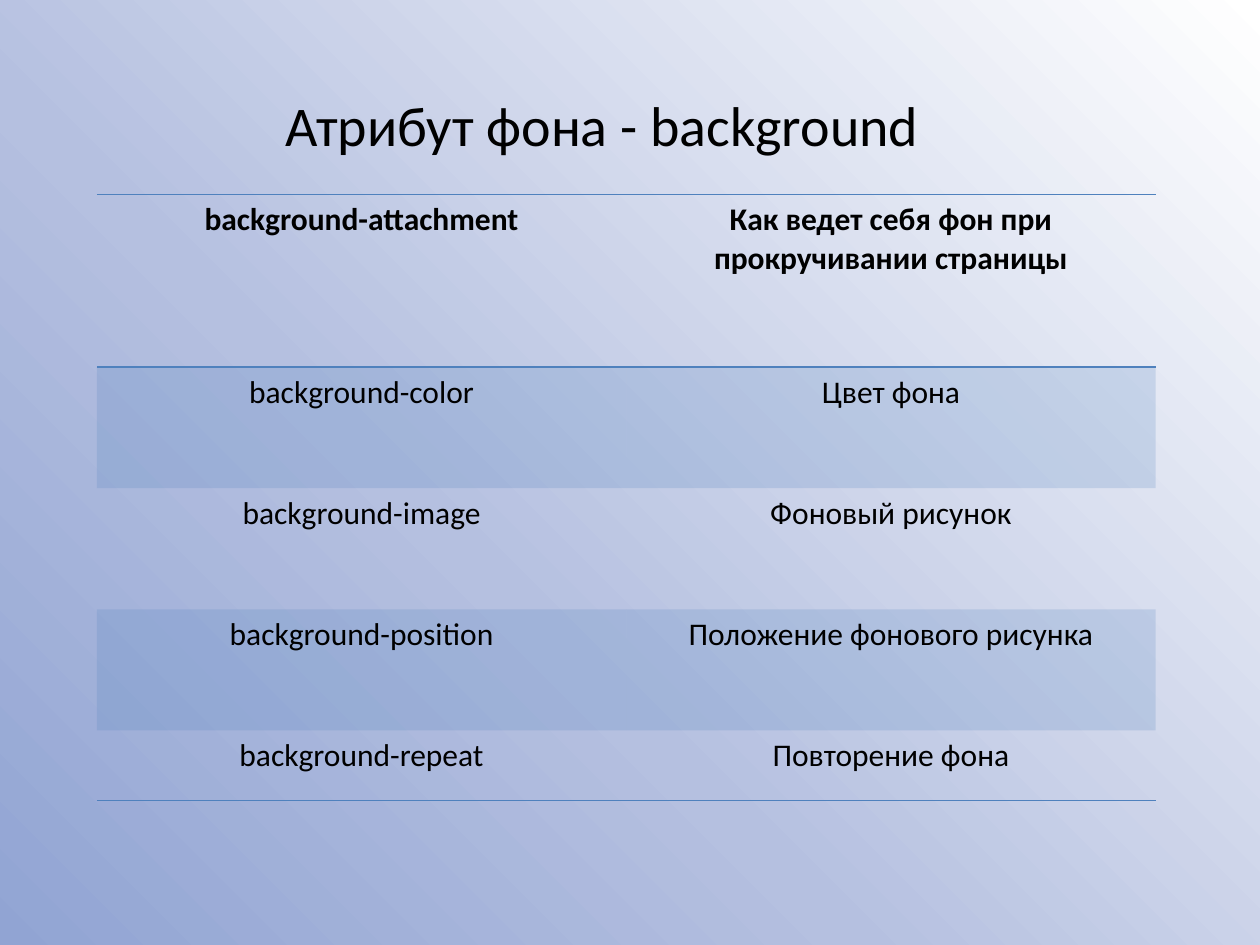
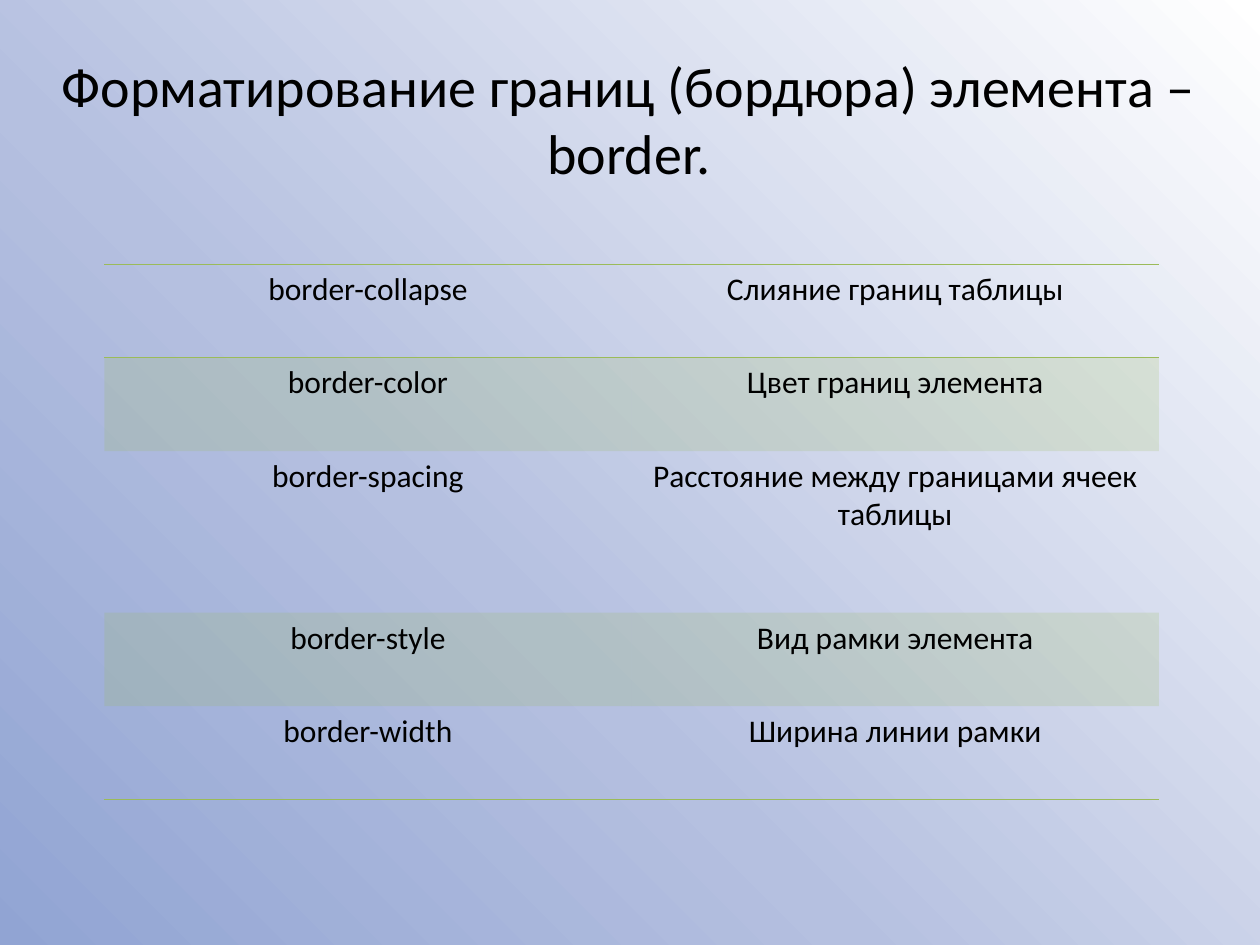
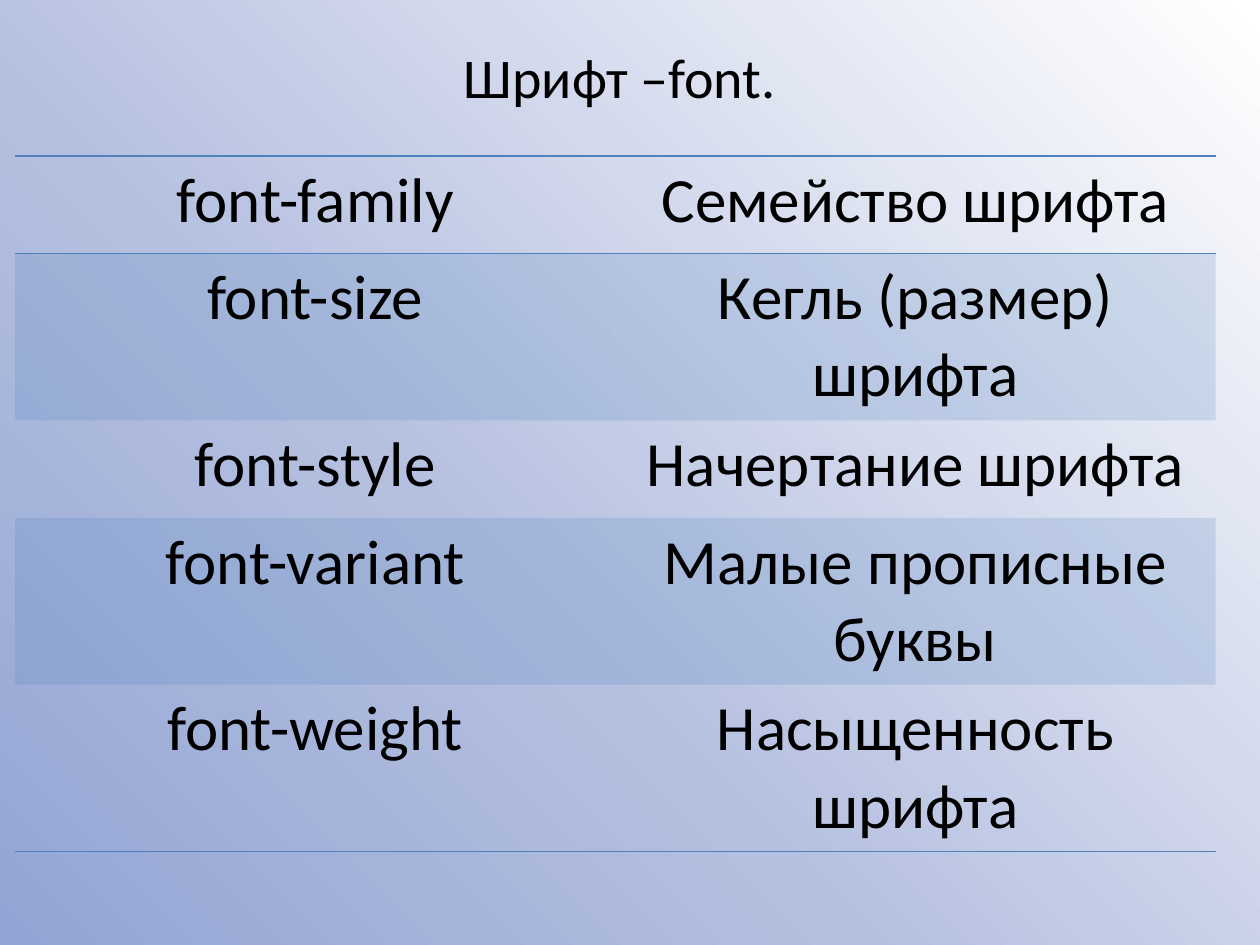
from lxml import etree
from pptx import Presentation
from pptx.dml.color import RGBColor
from pptx.enum.text import MSO_ANCHOR, MSO_AUTO_SIZE, PP_ALIGN
from pptx.oxml import parse_xml
from pptx.oxml.ns import nsdecls, qn
from pptx.util import Pt

TOP = MSO_ANCHOR.TOP
FIXED_SIZE = MSO_AUTO_SIZE.NONE
LEFT, CENTER = PP_ALIGN.LEFT, PP_ALIGN.CENTER

FONT = "Calibri"
BLACK, BLUE, GREEN = "000000", "4F81BD", "9BBB59"
BACKGROUND_STOPS = [(0, "FFFFFF"), (61, "B5C0E0"), (100, "91A4D3")]
TITLE_SIZE = 32
BAND_OPACITY = 20
RULE_WIDTH = 1
PLAIN_TABLE_STYLE = "{2D5ABB26-0587-4C30-8999-92F81FD0307C}"
TITLE_ONLY = 5


def color(value):
    return RGBColor.from_string(value)


class Deck:
    def __init__(self):
        self.deck = Presentation()
        self.deck.slide_width, self.deck.slide_height = Pt(720), Pt(540)
        self.page = None
        self.paint_background()

    def paint_background(self):
        master = self.deck.slide_master
        master.background.fill.solid()
        solid = master.element.find(".//" + qn("p:bgPr")).find(qn("a:solidFill"))
        stops = "".join(
            f'<a:gs pos="{place * 1000}"><a:srgbClr val="{value}"/></a:gs>'
            for place, value in BACKGROUND_STOPS
        )
        gradient = parse_xml(
            f'<a:gradFill {nsdecls("a")} rotWithShape="1"><a:gsLst>{stops}</a:gsLst>'
            '<a:path path="circle"><a:fillToRect l="100000" b="100000"/></a:path>'
            "</a:gradFill>"
        )
        solid.getparent().replace(solid, gradient)

    def add_page(self):
        layout = self.deck.slide_layouts[TITLE_ONLY]
        self.page = self.deck.slides.add_slide(layout)

    def style(self, para, size, align, bold=False):
        para.alignment = align
        para.font.name = FONT
        para.font.size = Pt(size)
        para.font.bold = bold
        para.font.color.rgb = color(BLACK)

    def title(self, text, left, top, width, height, wrap=False):
        box = self.page.shapes.title
        box.left, box.top = Pt(left), Pt(top)
        box.width, box.height = Pt(width), Pt(height)
        frame = box.text_frame
        frame.text = text
        frame.word_wrap = wrap
        frame.auto_size = FIXED_SIZE
        frame.vertical_anchor = TOP
        self.style(frame.paragraphs[0], TITLE_SIZE, CENTER if wrap else LEFT)

    def table(self, rows, left, top, width, heights, accent, size=18, bold_head=False):
        frame = self.page.shapes.add_table(
            len(rows), len(rows[0]), Pt(left), Pt(top), Pt(width), Pt(sum(heights))
        )
        table = frame.table
        table.first_row = table.horz_banding = False
        table._tbl.tblPr.find(qn("a:tableStyleId")).text = PLAIN_TABLE_STYLE
        last = len(rows) - 1
        for index, (texts, height) in enumerate(zip(rows, heights)):
            table.rows[index].height = Pt(height)
            for column, text in enumerate(texts):
                cell = table.cell(index, column)
                cell.text = text
                para = cell.text_frame.paragraphs[0]
                self.style(para, size, CENTER, bold_head and index == 0)
                self.fill_cell(cell, accent if index % 2 else None)
                if index in (0, last):
                    self.rule(cell, "lnB", accent)
                if index == 0:
                    self.rule(cell, "lnT", accent)

    def fill_cell(self, cell, accent):
        if accent is None:
            cell.fill.background()
            return
        cell.fill.solid()
        cell.fill.fore_color.rgb = color(accent)
        tone = cell._tc.tcPr.find(".//" + qn("a:srgbClr"))
        etree.SubElement(tone, qn("a:alpha"), val=str(BAND_OPACITY * 1000))

    def rule(self, cell, side, accent):
        line = parse_xml(
            f'<a:{side} {nsdecls("a")} w="{Pt(RULE_WIDTH)}"><a:solidFill>'
            f'<a:srgbClr val="{accent}"/></a:solidFill></a:{side}>'
        )
        cell._tc.tcPr.insert(0, line)


def main():
    show = Deck()

    show.add_page()
    show.title("Атрибут фона - background", 156.2, 48.2, 380.2, 46)
    background_rows = [
        ("background-attachment", "Как ведет себя фон при прокручивании страницы"),
        ("background-color", "Цвет фона"),
        ("background-image", "Фоновый рисунок"),
        ("background-position", "Положение фонового рисунка"),
        ("background-repeat", "Повторение фона"),
    ]
    show.table(background_rows, 55.4, 111.2, 605, [98.6, 69.2, 69.2, 69.2, 40],
               BLUE, bold_head=True)

    show.add_page()
    show.title("Форматирование границ (бордюра) элемента – border.",
               -1.4, 25.9, 721.4, 85, wrap=True)
    border_rows = [
        ("border-collapse", "Слияние границ таблицы"),
        ("border-color", "Цвет границ элемента"),
        ("border-spacing", "Расстояние между границами ячеек таблицы"),
        ("border-style", "Вид рамки элемента"),
        ("border-width", "Ширина линии рамки"),
    ]
    show.table(border_rows, 59.6, 151, 602.6, [53.4, 53.4, 92.4, 53.4, 53.4], GREEN)

    show.add_page()
    show.title("Шрифт –font.", 257.8, 20.9, 194.4, 46)
    font_rows = [
        ("font-family", "Семейство шрифта"),
        ("font-size", "Кегль (размер) шрифта"),
        ("font-style", "Начертание шрифта"),
        ("font-variant", "Малые прописные буквы"),
        ("font-weight", "Насыщенность шрифта"),
    ]
    show.table(font_rows, 8.6, 89.2, 686, [55.7, 93.5, 55.7, 93.5, 93.5],
               BLUE, size=36)

    show.deck.save("out.pptx")


if __name__ == "__main__":
    main()
